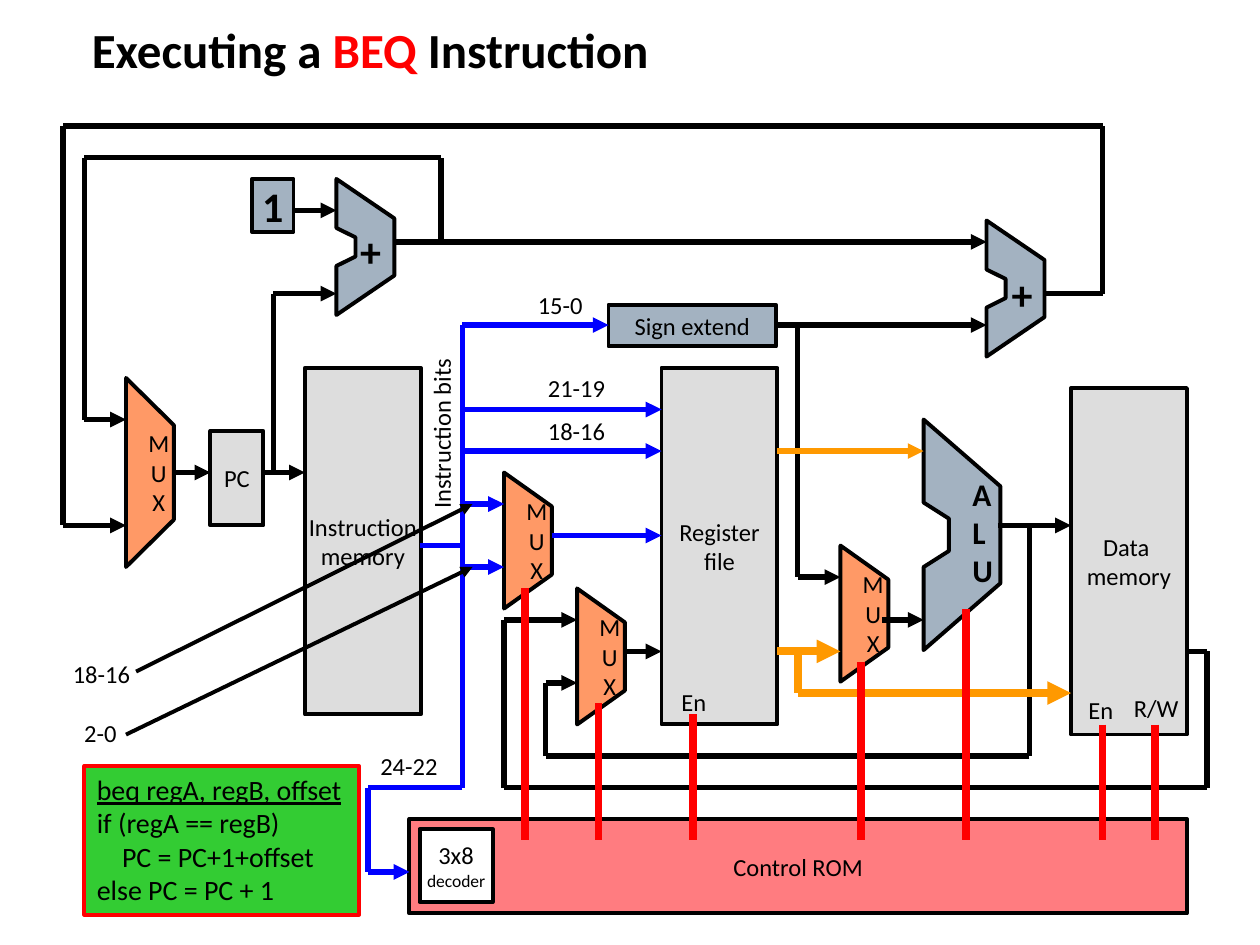
from itertools import pairwise

from lxml import etree
from pptx import Presentation
from pptx.dml.color import RGBColor
from pptx.enum import shapes as sh, text as tx
from pptx.oxml.ns import qn
from pptx.util import Inches, Pt

HUE = {
    "black": "000000", "white": "FFFFFF", "gray": "DDDDDD", "slate": "A3B2C1",
    "peach": "FF9966", "rose": "FF7C80", "green": "33CC33",
    "red": "FF0000", "blue": "0000FF", "orange": "FF9900",
}
RGB = {name: RGBColor.from_string(code) for name, code in HUE.items()}
LEFT, MID = tx.PP_ALIGN.LEFT, tx.PP_ALIGN.CENTER

deck = Presentation()
deck.slide_width, deck.slide_height = Inches(10), Inches(7.5)
slide = deck.slides.add_slide(deck.slide_layouts[6])
items = slide.shapes


def write(shape, lines, size=14, bold=False, align=LEFT):
    """Fill a shape with unwrapped lines of text, one paragraph each."""
    frame = shape.text_frame
    frame.text = "\n".join(lines)
    frame.word_wrap = False
    frame.vertical_anchor = (
        tx.MSO_ANCHOR.MIDDLE if align == MID else tx.MSO_ANCHOR.TOP)
    for para in frame.paragraphs:
        para.alignment = align
        para.font.name, para.font.size, para.font.bold = "Calibri", Pt(size), bold
        para.font.color.rgb = RGB["black"]
    return frame


def wire(hue, width, *points, arrow=True):
    """Join the points with straight lines, with an arrowhead at the last."""
    for (x1, y1), (x2, y2) in pairwise(points):
        line = items.add_connector(
            sh.MSO_CONNECTOR.STRAIGHT, Inches(x1), Inches(y1), Inches(x2), Inches(y2))
        line.line.color.rgb, line.line.width = RGB[hue], Pt(width)
        etree.SubElement(line._element.spPr, qn("a:effectLst"))
    if arrow:
        etree.SubElement(line.line._get_or_add_ln(), qn("a:tailEnd"), type="triangle")


# Title
title = items.add_textbox(Inches(0.63), Inches(-0.25), Inches(8.75), Inches(0.92))
frame = write(title, [""], 28, True)
frame.word_wrap = True
frame.vertical_anchor = tx.MSO_ANCHOR.BOTTOM
for words, hue in (("Executing a ", "black"), ("BEQ", "red"), (" Instruction", "black")):
    run = frame.paragraphs[0].add_run()
    run.text = words
    run.font.color.rgb = RGB[hue]

# Boxes: left, top, width, height, fill, lines, size
boxes = [
    (1.67, 3.42, 0.42, 0.75, "gray", ["PC"], 14),
    (2.42, 2.92, 0.92, 2.75, "gray", ["Instruction", "memory"], 14),
    (5.25, 2.92, 0.92, 2.83, "gray", ["Register", "file"], 14),
    (8.5, 3.08, 0.92, 2.75, "gray", ["Data ", "memory"], 14),
    (3.25, 6.5, 6.17, 0.75, "rose", ["Control ROM"], 14),
    (4.83, 2.42, 1.33, 0.33, "slate", ["Sign extend"], 14),
    (2, 1.42, 0.33, 0.42, "slate", ["1"], 24),
    (3.33, 6.58, 0.58, 0.58, "white", ["3x8", "decoder"], 14),
    (0.67, 6.08, 2.18, 1.18, "green", ["beq regA, regB, offset", "if (regA == regB)",
                                      "PC = PC+1+offset", "else PC = PC + 1"], 16),
]
for x, y, w, h, fill, lines, size in boxes:
    box = items.add_shape(
        sh.MSO_SHAPE.RECTANGLE, Inches(x), Inches(y), Inches(w), Inches(h))
    box.shadow.inherit = False
    box.fill.solid()
    box.fill.fore_color.rgb = RGB[fill]
    box.line.color.rgb = RGB["red" if fill == "green" else "black"]
    box.line.width = Pt(2.25)
    frame = write(box, lines, size, size == 24, LEFT if fill == "green" else MID)
    paras = frame.paragraphs
    if fill == "green":
        paras[0].font.underline = True
        paras[2]._p.get_or_add_pPr().set("marL", str(Inches(0.2)))
    elif fill == "white":
        paras[1].font.size = Pt(10)

# Muxes and adders: outlines as shares of width and height
MUX = [(0, 1), (1, 0.75), (1, 0.25), (0, 0)]
ADD = [(1, 0.29), (0, 0), (0, 0.36), (0.33, 0.43), (0.33, 0.57),
       (0, 0.64), (0, 1), (1, 0.71)]
units = [
    (1, 3, 0.38, 1.5, MUX), (4, 3.75, 0.38, 1.08, MUX),
    (4.58, 4.67, 0.38, 1.08, MUX), (6.67, 4.33, 0.38, 1.08, MUX),
    (2.67, 1.42, 0.46, 1.08, ADD), (7.83, 1.75, 0.46, 1.08, ADD),
    (7.33, 3.33, 0.61, 1.83, ADD),
]
for x, y, w, h, form in units:
    first, *rest = [(Inches(x + w * a), Inches(y + h * b)) for a, b in form]
    pen = items.build_freeform(*first)
    pen.add_line_segments(rest)
    unit = pen.convert_to_shape()
    unit.shadow.inherit = False
    unit.fill.solid()
    unit.fill.fore_color.rgb = RGB["peach" if form is MUX else "slate"]
    unit.line.color.rgb, unit.line.width = RGB["black"], Pt(2.25)
    if form is MUX:
        frame = write(unit, "MUX", align=MID)
        frame.margin_left, frame.margin_right = Inches(0.14), 0

# Data paths
paths = [
    [(3.13, 1.92), (7.83, 1.92)],
    [(3.5, 1.92), (3.5, 1.25), (0.67, 1.25), (0.67, 3.33), (1, 3.33)],
    [(8.3, 2.33), (8.75, 2.33), (8.75, 1), (0.5, 1), (0.5, 4.17), (1, 4.17)],
    [(2.33, 1.67), (2.67, 1.67)],
    [(2.17, 3.75), (2.17, 2.33), (2.67, 2.33)],
    [(1.38, 3.75), (1.67, 3.75)],
    [(2.08, 3.75), (2.42, 3.75)],
    [(6.17, 2.58), (7.83, 2.58)],
    [(6.33, 2.58), (6.33, 4.58), (6.67, 4.58)],
    [(4.96, 5.17), (5.25, 5.17)],
    [(7, 4.92), (7.33, 4.92)],
    [(7.92, 4.17), (8.5, 4.17)],
    [(8.17, 4.17), (8.17, 6), (4.33, 6), (4.33, 5.42), (4.58, 5.42)],
    [(9.42, 5.17), (9.58, 5.17), (9.58, 6.25), (4, 6.25), (4, 4.92), (4.58, 4.92)],
]
for path in paths:
    wire("black", 3, *path)

# Instruction bits
wire("blue", 3, (3.33, 4.33), (3.67, 4.33), arrow=False)
wire("blue", 3, (3.67, 2.58), (3.67, 6.25), (2.92, 6.25), (2.92, 6.92), (3.25, 6.92))
for x, y in ((4.83, 2.58), (5.25, 3.25), (5.25, 3.58), (4, 4), (4, 4.5)):
    wire("blue", 3, (3.67, y), (x, y))
wire("blue", 3, (4.38, 4.25), (5.25, 4.25))

# Register values
wire("orange", 3, (6.17, 3.58), (7.33, 3.58))
wire("orange", 4.5, (6.17, 5.17), (6.67, 5.17))
wire("orange", 4.5, (6.33, 5.17), (6.33, 5.5), (8.5, 5.5))

# Control signals
for x, y in ((4.17, 4.67), (4.75, 5.58), (6.83, 5.25), (7.67, 4.83),
             (8.75, 5.75), (9.17, 5.75), (5.5, 5.67)):
    wire("red", 4.5, (x, y), (x, 6.67), arrow=False)

# Labels: left, top, width, height, lines, size
labels = [
    (2.76, 1.74, 0.37, 0.51, ["+"], 24),
    (7.93, 2.08, 0.37, 0.51, ["+"], 24),
    (7.62, 3.72, 0.37, 1.01, "ALU", 18),
    (8.9, 5.45, 0.56, 0.34, ["R/W"], 14),
    (8.54, 5.47, 0.4, 0.34, ["En"], 14),
    (5.31, 5.4, 0.4, 0.34, ["En"], 14),
    (2.8, 3.26, 1.41, 0.34, ["Instruction bits"], 14),
    (4.17, 2.25, 0.56, 0.34, ["15-0"], 14),
    (4.25, 2.91, 0.66, 0.34, ["21-19"], 14),
    (4.25, 3.25, 0.66, 0.34, ["18-16"], 14),
    (2.92, 5.91, 0.66, 0.34, ["24-22"], 14),
    (0.48, 5.18, 0.66, 0.81, ["18-16", "2-0"], 14),
]
for x, y, w, h, lines, size in labels:
    label = items.add_textbox(Inches(x), Inches(y), Inches(w), Inches(h))
    frame = write(label, lines, size, size > 14)
    frame.auto_size = tx.MSO_AUTO_SIZE.SHAPE_TO_FIT_TEXT
    if lines == ["Instruction bits"]:
        label.rotation = 270
    elif lines[-1] == "2-0":
        last = frame.paragraphs[1]
        last.space_before = Pt(17)
        last._p.get_or_add_pPr().set("marL", str(Inches(0.09)))

# Pointers from the register fields
wire("black", 2.25, (1.08, 5.33), (3.75, 4))
wire("black", 2.25, (1, 5.83), (3.75, 4.5))

deck.save("out.pptx")
